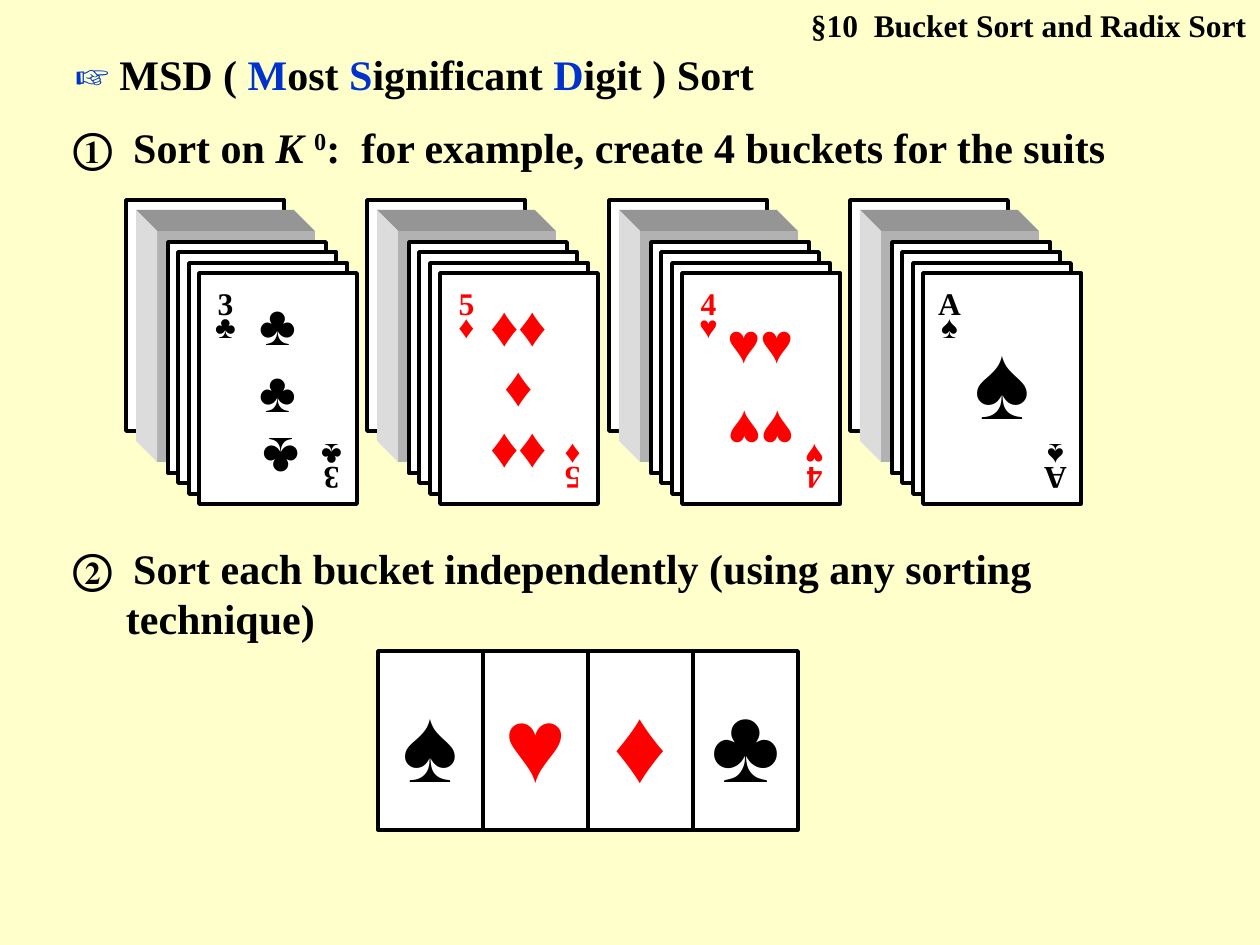
from pptx import Presentation
from pptx.dml.color import RGBColor
from pptx.enum.shapes import MSO_SHAPE as Shape
from pptx.enum.text import MSO_ANCHOR as Anchor, MSO_AUTO_SIZE as Fit, PP_ALIGN as Align
from pptx.util import Inches, Pt

PX = 7257  # EMU per pixel at 126 pixels to the inch
COLORS = {"page": "FFFFCC", "black": "000000", "red": "FF0000", "blue": "0033CC",
          "card": "FFFFFF", "deck_front": "B2B2B2", "deck_top": "959595", "deck_side": "DCDCDC"}


def paint(shape, fill, line=None):
    shape.shadow.inherit = False
    shape.fill.solid()
    shape.fill.fore_color.rgb = RGBColor.from_string(COLORS[fill])
    if line:
        shape.line.color.rgb = RGBColor.from_string(COLORS[line])
        shape.line.width = Pt(2)
    else:
        shape.line.fill.background()


def write(box, paragraphs, size, frame_format, para_format):
    """Each paragraph is a list of (text, colour, font extras)."""
    frame = box.text_frame
    for name, value in frame_format.items():
        setattr(frame, name, value)
    for index, spans in enumerate(paragraphs):
        para = frame.add_paragraph() if index else frame.paragraphs[0]
        for name, value in para_format.items():
            setattr(para, name, value)
        for text, color, *extras in spans:
            span = para.add_run()
            span.text = text
            font = {"name": "Times New Roman", "size": Pt(size), "bold": True}
            for name, value in font.items():
                setattr(span.font, name, value)
            span.font.color.rgb = RGBColor.from_string(COLORS[color])
            if "italic" in extras:
                span.font.italic = True
            if "super" in extras:
                span.font._element.set("baseline", "30000")


deck = Presentation()
deck.slide_width, deck.slide_height = Inches(10), Inches(7.5)
page = deck.slides.add_slide(deck.slide_layouts[6])
page.background.fill.solid()
page.background.fill.fore_color.rgb = RGBColor.from_string(COLORS["page"])

FLUSH = {"margin_left": 0, "margin_right": 0}
PIP_FRAME = {**FLUSH, "word_wrap": False, "vertical_anchor": Anchor.MIDDLE}

# Header, title and the two steps: place, size, flush sides, alignment, spans
texts = [
    ((735, 0, 524, 50), 18, False, Align.RIGHT,
     [("§10  Bucket Sort and Radix Sort", "black")]),
    ((63, 42, 1134, 63), 24, False, Align.LEFT,
     [("☞", "blue"), (" MSD ( ", "black"), ("M", "blue"), ("ost ", "black"), ("S", "blue"),
      ("ignificant ", "black"), ("D", "blue"), ("igit ) Sort", "black")]),
    ((73, 115, 1103, 63), 24, True, Align.LEFT,
     [("①  Sort on ", "black"), ("K ", "black", "italic"), ("0", "black", "super"),
      (":  for example, create 4 buckets for the suits", "black")]),
    ((73, 536, 1124, 113), 24, True, Align.LEFT,
     [("②  Sort each bucket independently (using any sorting technique)", "black")]),
]
for place, size, flush, align, spans in texts:
    box = page.shapes.add_textbox(*(n * PX for n in place))
    frame_format = {"word_wrap": True, "auto_size": Fit.SHAPE_TO_FIT_TEXT, **(FLUSH if flush else {})}
    write(box, [spans], size, frame_format, {"alignment": align, "space_before": Pt(size / 8)})

# Hanging indent of the last step
step_props = box.text_frame.paragraphs[0]._p.get_or_add_pPr()
step_props.set("marL", str(53 * PX))
step_props.set("indent", str(-53 * PX))

# Buckets: rank, suit, colour, pips as (left, top, width, height, lines, size, spacing, rotation)
buckets = [
    ("3", "♣", "black", [(110, 294, 84, 126, ["♣", "♣"], 32, 1.0, 0),
                         (116, 424, 79, 73, ["♣"], 32, 1.0, 180)]),
    ("5", "♦", "red", [(110, 294, 84, 189, ["♦♦", "♦", "♦♦"], 32, 0.9, 0)]),
    ("4", "♥", "red", [(110, 305, 84, 73, ["♥♥"], 32, 1.0, 0),
                       (110, 397, 84, 73, ["♥♥"], 32, 1.0, 180)]),
    ("A", "♠", "black", [(110, 315, 84, 126, ["♠"], 60, 1.0, 0)]),
]
CARD_W, CARD_H, TOP, DEPTH = 158, 231, 200, 21
for index, (rank, suit, color, pips) in enumerate(buckets):
    left = 126 + 483 * index // 2
    bucket = page.shapes.add_group_shape().shapes

    # Rear card, solid deck, then the four front cards
    for step in (0, 3, 4, 5, 6, 7):
        shift = step * 21 // 2
        x, y = left + shift, TOP + shift
        card = bucket.add_shape(Shape.RECTANGLE, x * PX, y * PX, CARD_W * PX, CARD_H * PX)
        if step != 3:
            paint(card, "card", "black")
            continue
        paint(card, "deck_front")
        for face, width, height in (("deck_top", CARD_W, 0), ("deck_side", 0, CARD_H)):
            outline = bucket.build_freeform(x, y, scale=PX)
            outline.add_line_segments([(x + width, y + height),
                                       (x + width - DEPTH, y + height - DEPTH),
                                       (x - DEPTH, y - DEPTH)])
            paint(outline.convert_to_shape(), face)

    # Corner marks and pips
    corners = [(73, 289, 53, 63, [rank, suit], 18, 0.6, 0),
               (179, 431, 53, 63, [rank, suit], 18, 0.6, 180)]
    for dx, y, width, height, lines, size, spacing, rotation in corners + pips:
        mark = bucket.add_textbox((left + dx) * PX, y * PX, width * PX, height * PX)
        mark.rotation = rotation
        write(mark, [[(line, color)] for line in lines], size, PIP_FRAME,
              {"alignment": Align.CENTER, "line_spacing": spacing})

# Row of suits in order
for index, (suit, color) in enumerate(zip("♠♥♦♣", ("black", "red", "red", "black"))):
    card = page.shapes.add_shape(Shape.RECTANGLE, (378 + 105 * index) * PX, 651 * PX, 105 * PX, 179 * PX)
    paint(card, "card", "black")
    write(card, [[(suit, color)]], 60, PIP_FRAME, {"alignment": Align.CENTER})

deck.save("out.pptx")
